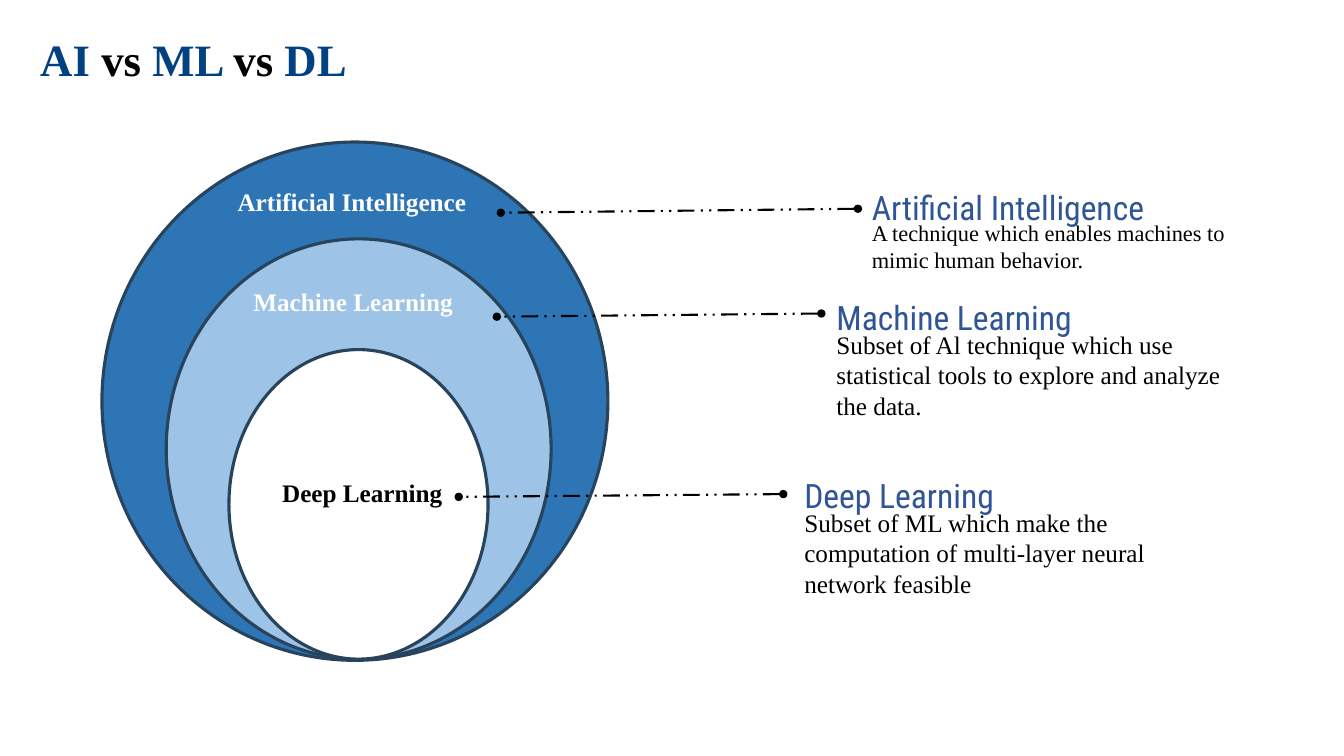
from dataclasses import dataclass
from lxml import etree
from pptx import Presentation
from pptx import util as u
from pptx.dml.color import RGBColor
from pptx.enum import dml, shapes, text
from pptx.oxml.ns import qn


@dataclass
class Theme:
    serif: str = "Times New Roman"
    sans: str = "Roboto Condensed"
    navy: str = "004182"
    head: str = "2F5597"
    edge: str = "28445D"
    deep: str = "2E75B6"
    pale: str = "9DC3E6"
    white: str = "FFFFFF"
    black: str = "000000"
    title: int = 32
    topic: int = 24
    label: int = 18
    small: int = 16


look = Theme()


def add_run(para, words, font, size, color, bold=False):
    run = para.add_run()
    run.text = words
    run.font.name = font
    run.font.size = u.Pt(size)
    run.font.bold = bold
    run.font.color.rgb = RGBColor.from_string(color)


def add_box(left, top, width, height, pad=0.13):
    box = slide.shapes.add_textbox(u.Cm(left), u.Cm(top), u.Cm(width), u.Cm(height))
    frame = box.text_frame
    frame.word_wrap = True
    frame.margin_left = frame.margin_right = u.Cm(0.25)
    frame.margin_top = frame.margin_bottom = u.Cm(pad)
    return frame


deck = Presentation()
deck.slide_width, deck.slide_height = u.Cm(33.87), u.Cm(19.05)
slide = deck.slides.add_slide(deck.slide_layouts[5])

title = slide.shapes.title
title.left, title.top = u.Cm(0.76), u.Cm(0.66)
title.width, title.height = u.Cm(8.86), u.Cm(1.63)
frame = title.text_frame
frame.word_wrap = False
frame.auto_size = text.MSO_AUTO_SIZE.NONE
frame.vertical_anchor = text.MSO_ANCHOR.TOP
para = frame.paragraphs[0]
para.alignment = text.PP_ALIGN.LEFT
for words, color in [
    ("AI ", look.navy), ("vs", look.black), (" ML ", look.navy),
    ("vs", look.black), (" DL", look.navy),
]:
    add_run(para, words, look.serif, look.title, color, True)

topics = [
    ("Artificial Intelligence", "Artificial Intelligence ",
     "A technique which enables machines to mimic human behavior.", look.small,
     (2.57, 3.58, 12.75, 13.06), look.deep, look.white,
     (5.28, 4.57), (21.62, 5.26, 12.62, 5.36), (21.72, 4.55), 1.63),
    ("Machine Learning", "Machine Learning",
     "Subset of Al technique which use statistical tools to explore and analyze the data.",
     look.label, (4.19, 6.02, 9.7, 10.59), look.pale, look.white,
     (5.23, 7.09), (20.7, 7.9, 12.52, 7.98), (20.83, 7.32), 2.57),
    ("Deep Learning", "Deep Learning",
     "Subset of ML which make the computation of multi-layer neural network feasible",
     look.label, (5.77, 8.81, 6.53, 7.8), look.white, look.black,
     (5.46, 11.91), (19.74, 12.45, 11.56, 12.52), (20.02, 11.81), 2.57),
]

for name, label, note, size, ring, fill, ink, spot, ends, place, tall in topics:
    oval = slide.shapes.add_shape(shapes.MSO_SHAPE.OVAL, *map(u.Cm, ring))
    oval.shadow.inherit = False
    oval.fill.solid()
    oval.fill.fore_color.rgb = RGBColor.from_string(fill)
    oval.line.color.rgb = RGBColor.from_string(look.edge)
    oval.line.width = u.Pt(2.25)

    para = add_box(*spot, 7.34, 1.02).paragraphs[0]
    para.alignment = text.PP_ALIGN.CENTER
    add_run(para, label, look.serif, look.label, ink, True)

    link = slide.shapes.add_connector(shapes.MSO_CONNECTOR.STRAIGHT, *map(u.Cm, ends))
    link.line.color.rgb = RGBColor.from_string(look.black)
    link.line.width = u.Pt(1.5)
    link.line.dash_style = dml.MSO_LINE.DASH_DOT_DOT
    props = link._element.spPr
    for tip in ("a:headEnd", "a:tailEnd"):
        etree.SubElement(props.find(qn("a:ln")), qn(tip), type="oval")
    etree.SubElement(props, qn("a:effectLst"))

    left, top = place
    para = add_box(left, top + 0.85, 10.8, tall).paragraphs[0]
    add_run(para, note, look.serif, size, look.black)

    frame = add_box(left, top, 7.44, 1.32, 0.25)
    frame.vertical_anchor = text.MSO_ANCHOR.MIDDLE
    add_run(frame.paragraphs[0], name, look.sans, look.topic, look.head)

deck.save("out.pptx")
